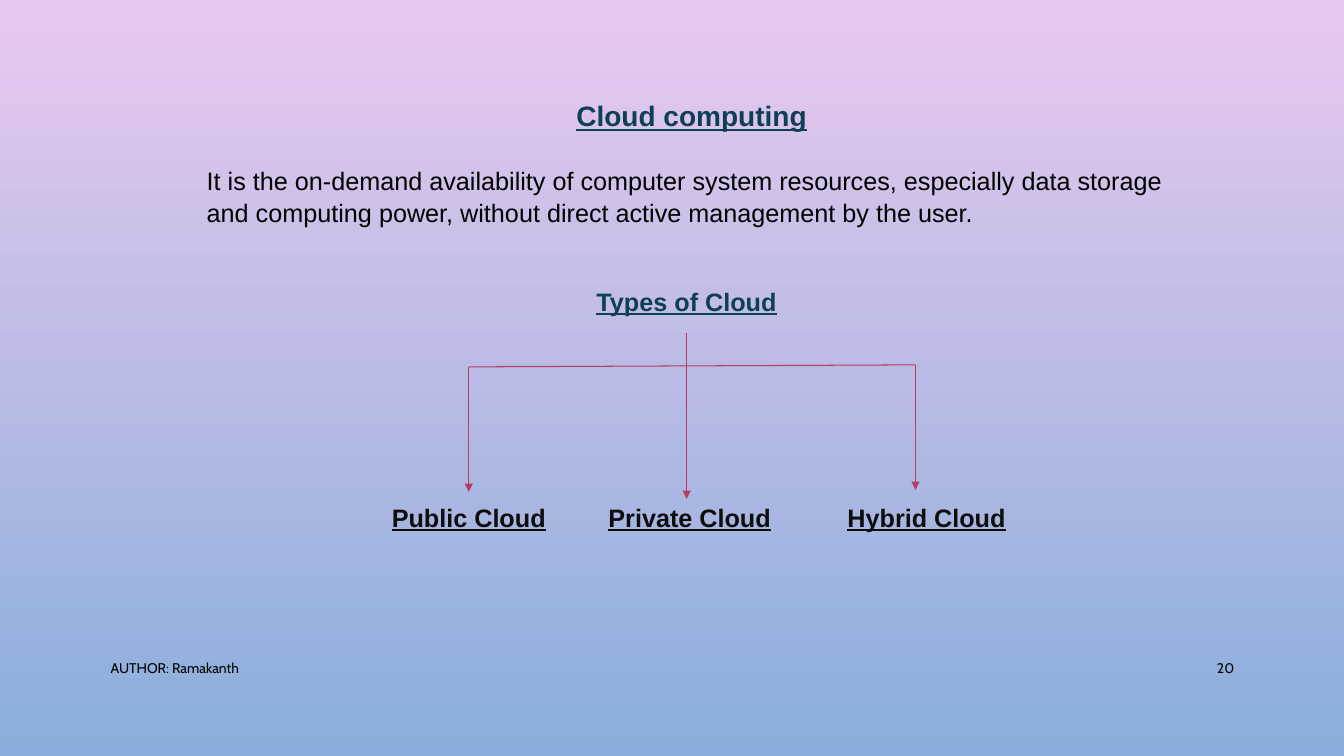
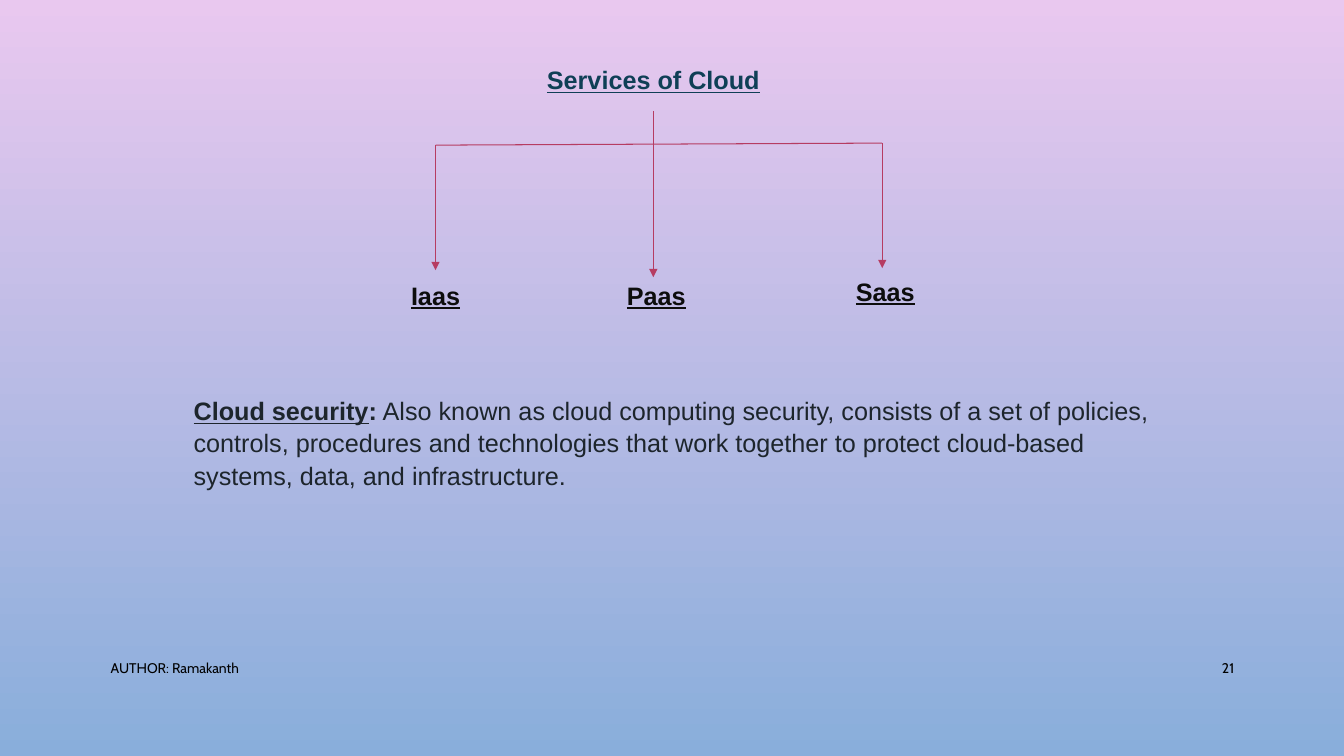
from pptx import Presentation
from pptx.dml.color import RGBColor
from pptx.enum.shapes import MSO_CONNECTOR
from pptx.enum.text import MSO_ANCHOR, MSO_AUTO_SIZE, PP_ALIGN
from pptx.oxml.ns import qn
from pptx.util import Inches, Pt
from lxml.etree import SubElement

PINK = RGBColor(0xE9, 0xC8, 0xEF)
BLUE = RGBColor(0x89, 0xAE, 0xDB)
TEAL = RGBColor(0x0F, 0x3F, 0x56)
CRIMSON = RGBColor(0xB6, 0x3C, 0x62)
BLACK = RGBColor(0x00, 0x00, 0x00)
INK = RGBColor(0x0D, 0x0D, 0x0D)
SLATE = RGBColor(0x1D, 0x25, 0x2C)

HEADING = dict(color=TEAL, bold=True, underline=True)
LABEL = dict(color=INK, bold=True, underline=True)
LINE_HEIGHT = 0.4
HEADING_RISE = 0.51  # from the top of a heading down to its tree
BRANCH_OFFSETS = (-2.16, 0, 2.27)
BRANCH_STARTS = (0.34, 0, 0.32)
BRANCH_ENDS = (1.58, 1.65, 1.56)


def add_span(para, text, size=18, font="Arial", color=BLACK, bold=False, underline=False):
    span = para.add_run()
    span.text = text
    span.font.name = font
    span.font.size = Pt(size)
    span.font.color.rgb = color
    span.font.bold = bold
    span.font.underline = underline


def set_box(box, left, top, width, height, anchor=MSO_ANCHOR.TOP, wrap=True):
    """Place a text shape and return its first paragraph."""
    box.left, box.top = Inches(left), Inches(top)
    box.width, box.height = Inches(width), Inches(height)
    frame = box.text_frame
    frame.word_wrap = wrap
    frame.auto_size = MSO_AUTO_SIZE.NONE
    frame.vertical_anchor = anchor
    return frame.paragraphs[0]


def add_text(page, text, left, top, width, height=LINE_HEIGHT, align=PP_ALIGN.CENTER,
             anchor=MSO_ANCHOR.TOP, wrap=True, **style):
    box = page.shapes.add_textbox(0, 0, 0, 0)
    para = set_box(box, left, top, width, height, anchor, wrap)
    para.alignment = align
    add_span(para, text, **style)


def add_line(page, start, end, arrow=False):
    points = [Inches(value) for value in (*start, *end)]
    connector = page.shapes.add_connector(MSO_CONNECTOR.STRAIGHT, *points)
    connector.line.color.rgb = CRIMSON
    connector.line.width = Pt(0.75)
    properties = connector._element.spPr
    if arrow:
        SubElement(properties.find(qn("a:ln")), qn("a:tailEnd"), type="triangle")
    SubElement(properties, qn("a:effectLst"))


def add_tree(page, root_x, root_y, labels):
    """Draw three arrows below a root point; labels hold (text, right shift, drop)."""
    starts = [(root_x + dx, root_y + dy) for dx, dy in zip(BRANCH_OFFSETS, BRANCH_STARTS)]
    add_line(page, starts[0], starts[2])
    width = 2
    for (x, y), drop, (text, shift, label_drop) in zip(starts, BRANCH_ENDS, labels):
        add_line(page, (x, y), (x, root_y + drop), arrow=True)
        add_text(page, text, x + shift - width / 2, root_y + label_drop, width,
                 wrap=False, **LABEL)


def set_title(page, text, left, top, width, size=18):
    para = set_box(page.shapes.title, left, top, width, LINE_HEIGHT)
    para.alignment = PP_ALIGN.CENTER
    add_span(para, text, size=size, **HEADING)


def set_body(page, spans, left, top, width, height):
    """Fill the body placeholder with one plain paragraph of (text, style) spans."""
    para = set_box(page.placeholders[1], left, top, width, height)
    para.line_spacing = 1.07
    para.space_before = Pt(0)
    properties = para._p.get_or_add_pPr()
    properties.set("marL", "0")
    properties.set("indent", "0")
    SubElement(properties, qn("a:buNone"))
    for text, style in spans:
        add_span(para, text, **style)


def add_footer(page, number):
    style = dict(size=10, font="Cabin", anchor=MSO_ANCHOR.MIDDLE)
    add_text(page, "AUTHOR: Ramakanth", 1, 6.43, 7.3, align=PP_ALIGN.LEFT, **style)
    add_text(page, str(number), 11.5, 6.43, 0.84, align=PP_ALIGN.RIGHT, **style)


def add_page(deck, number):
    page = deck.slides.add_slide(deck.slide_layouts[1])
    add_footer(page, number)
    return page


def set_background(master):
    fill = master.background.fill
    fill.gradient()
    fill.gradient_angle = 270
    for stop, color in zip(fill.gradient_stops, (PINK, BLUE)):
        stop.color.rgb = color


def add_types_page(deck):
    page = add_page(deck, 20)
    set_title(page, "Cloud computing", 1.95, 0.93, 9.82, size=20)
    definition = ("It is the on-demand availability of computer system resources, especially "
                  "data storage and computing power, without direct active management by the user.")
    set_body(page, [(definition, {})], 1.95, 1.57, 9.82, 0.71)
    root_x, root_y = 6.81, 3.3
    add_text(page, "Types of Cloud", root_x - 1, root_y - HEADING_RISE, 2, wrap=False, **HEADING)
    add_tree(page, root_x, root_y, [("Public Cloud", 0, 1.63), ("Private Cloud", 0.03, 1.63),
                                    ("Hybrid Cloud", 0.11, 1.63)])


def add_services_page(deck):
    page = add_page(deck, 21)
    root_x, root_y = 6.48, 1.1
    set_title(page, "Services of Cloud", root_x - 1.5, root_y - HEADING_RISE, 3)
    add_tree(page, root_x, root_y, [("Iaas", 0, 1.63), ("Paas", 0.03, 1.63),
                                    ("Saas", 0.03, 1.59)])
    security = (" Also known as cloud computing security, consists of a set of policies, "
                "controls, procedures and technologies that work together to protect "
                "cloud-based systems, data, and infrastructure.")
    set_body(page, [("Cloud security", dict(color=SLATE, bold=True, underline=True)),
                    (":", dict(color=SLATE, bold=True)),
                    (security, dict(color=SLATE))], 1.82, 3.85, 9.68, 1.62)


def main():
    deck = Presentation()
    deck.slide_width, deck.slide_height = Inches(13.33), Inches(7.5)
    set_background(deck.slide_master)
    add_types_page(deck)
    add_services_page(deck)
    deck.save("out.pptx")


if __name__ == "__main__":
    main()
